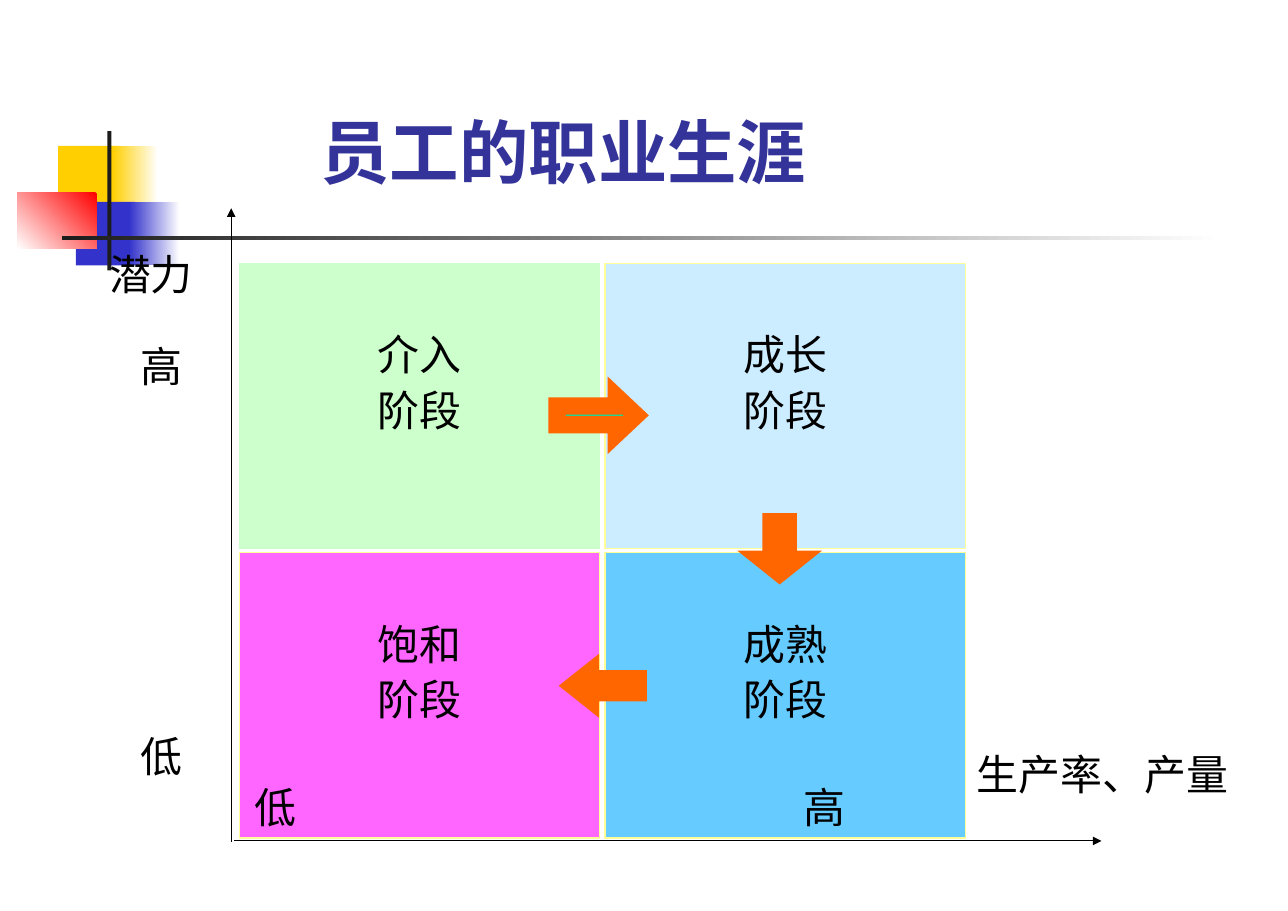
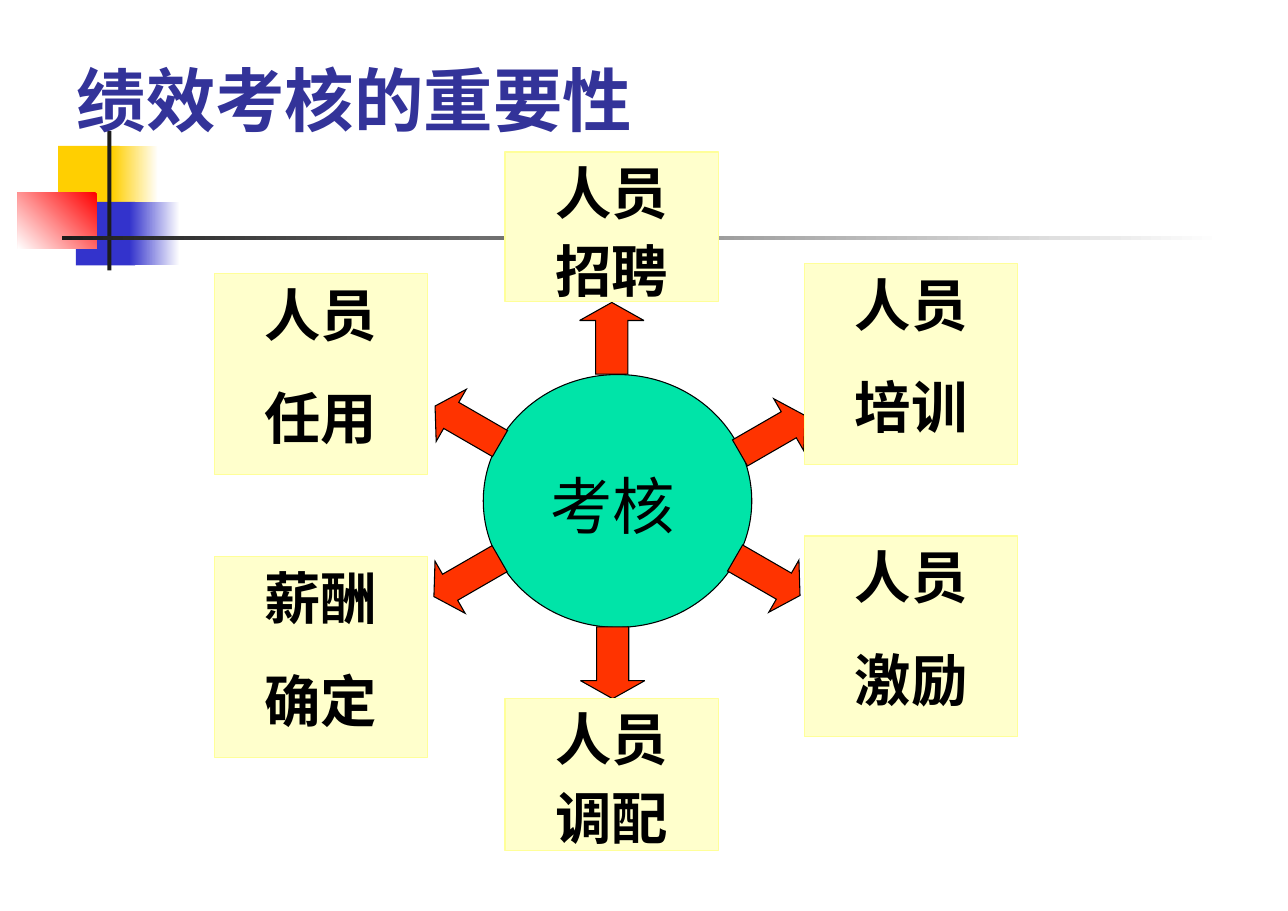
from dataclasses import dataclass

from lxml import etree
from pptx import Presentation
from pptx.dml.color import RGBColor
from pptx.enum.shapes import MSO_CONNECTOR, MSO_SHAPE
from pptx.enum.text import MSO_ANCHOR, MSO_AUTO_SIZE, PP_ALIGN
from pptx.oxml.ns import qn
from pptx.shapes.autoshape import Shape
from pptx.slide import Slide
from pptx.util import Cm, Pt

RECT = MSO_SHAPE.RECTANGLE
OVAL = MSO_SHAPE.OVAL
RIGHT = MSO_SHAPE.RIGHT_ARROW
DOWN = MSO_SHAPE.DOWN_ARROW
LEFT = MSO_SHAPE.LEFT_ARROW
STRAIGHT = MSO_CONNECTOR.STRAIGHT
TOP = MSO_ANCHOR.TOP
GROW = MSO_AUTO_SIZE.SHAPE_TO_FIT_TEXT
START = PP_ALIGN.LEFT
CENTER = PP_ALIGN.CENTER

WHITE = RGBColor(0xFF, 0xFF, 0xFF)
BLACK = RGBColor(0x00, 0x00, 0x00)
INK = RGBColor(0x1C, 0x1C, 0x1C)
NAVY = RGBColor(0x33, 0x33, 0x99)
BLUE = RGBColor(0x33, 0x33, 0xCC)
GOLD = RGBColor(0xFF, 0xCF, 0x01)
RED = RGBColor(0xFF, 0x00, 0x00)
FLAME = RGBColor(0xFF, 0x33, 0x00)
ORANGE = RGBColor(0xFF, 0x66, 0x00)
TEAL = RGBColor(0x00, 0xE4, 0xA8)
CREAM = RGBColor(0xFF, 0xFF, 0xCC)
YELLOW = RGBColor(0xFF, 0xFF, 0x99)
PINK = RGBColor(0xFF, 0x66, 0xFF)
MINT = RGBColor(0xCC, 0xFF, 0xCC)
PALE = RGBColor(0xCC, 0xEC, 0xFF)
SKY = RGBColor(0x66, 0xCC, 0xFF)

SERIF = "Times New Roman"
SANS = "Noto Sans CJK SC"


@dataclass(frozen=True)
class Area:
    """A place on the slide, in centimetres."""
    x: float
    y: float
    w: float
    h: float


@dataclass(frozen=True)
class Patch:
    area: Area
    color: RGBColor
    fade: RGBColor | None = None
    angle: int = 0


@dataclass(frozen=True)
class Stage:
    col: int
    row: int
    name: str
    fill: RGBColor
    edge: RGBColor = YELLOW


@dataclass(frozen=True)
class Label:
    text: str
    x: float
    y: float
    width: float
    face: str = SERIF


@dataclass(frozen=True)
class Arrow:
    kind: MSO_SHAPE
    area: Area
    head: float
    turn: int = 0


@dataclass(frozen=True)
class Topic:
    area: Area
    lines: tuple[str, str]
    gap: float


PATCHES = (
    Patch(Area(1.42, 3.56, 1.5, 1.52), GOLD),
    Patch(Area(2.74, 3.56, 1.12, 1.52), WHITE, GOLD, 180),
    Patch(Area(1.85, 4.93, 1.45, 1.55), BLUE),
    Patch(Area(3.15, 4.93, 1.24, 1.55), WHITE, BLUE, 180),
    Patch(Area(0.43, 4.7, 1.93, 1.37), RED, WHITE, 225),
    Patch(Area(2.62, 3.2, 0.1, 3.4), INK),
    Patch(Area(1.52, 5.77, 28.3, 0.1), WHITE, INK, 180),
)

STAGES = (
    Stage(0, 1, "饱和", PINK),
    Stage(0, 0, "介入", MINT, MINT),
    Stage(1, 0, "成长", PALE),
    Stage(1, 1, "成熟", SKY),
)

LABELS = (
    Label("生产率、产量", 23.52, 18.11, 7.21, SANS),
    Label("高", 19.3, 18.92, 2.34),
    Label("低", 5.92, 18.92, 3.89),
    Label("潜力", 2.36, 5.92, 3.15, SANS),
    Label("高", 3.12, 8.15, 1.85),
    Label("低", 3.12, 17.68, 2.72),
)

STEPS = (
    Arrow(RIGHT, Area(13.59, 9.68, 1.93, 0.91), 0.53),
    Arrow(DOWN, Area(18.64, 12.75, 0.76, 1.22), 0.4),
    Arrow(LEFT, Area(14, 16.43, 1.55, 0.61), 0.63),
)

SPOKES = (
    Arrow(RIGHT, Area(17.93, 9.86, 1.83, 1.47), 0.31, 330),
    Arrow(RIGHT, Area(17.81, 13.34, 1.83, 1.47), 0.31, 30),
    Arrow(RIGHT, Area(10.46, 13.36, 1.85, 1.47), 0.31, 150),
    Arrow(RIGHT, Area(10.49, 9.63, 1.83, 1.47), 0.31, 210),
    Arrow(RIGHT, Area(14.07, 15.39, 1.75, 1.57), 0.28, 90),
    Arrow(RIGHT, Area(14.05, 7.47, 1.75, 1.57), 0.28, 270),
)

TOPICS = (
    Topic(Area(5.23, 6.68, 5.2, 4.9), ("人员", "任用"), 24.4),
    Topic(Area(19.63, 6.43, 5.2, 4.9), ("人员", "培训"), 24.4),
    Topic(Area(5.23, 13.59, 5.2, 4.9), ("薪酬", "确定"), 24.4),
    Topic(Area(19.63, 13.08, 5.2, 4.9), ("人员", "激励"), 24.4),
    Topic(Area(12.32, 17.04, 5.2, 3.71), ("人员", "调配"), 7.3),
    Topic(Area(12.32, 3.71, 5.2, 3.66), ("人员", "招聘"), 7.3),
)


def frame(area: Area) -> tuple[Cm, Cm, Cm, Cm]:
    return Cm(area.x), Cm(area.y), Cm(area.w), Cm(area.h)


def draw(slide: Slide, kind: MSO_SHAPE, area: Area, fill: RGBColor,
         edge: RGBColor | None = None, weight: float = 0.75) -> Shape:
    shape = slide.shapes.add_shape(kind, *frame(area))
    shape.shadow.inherit = False
    shape.fill.solid()
    shape.fill.fore_color.rgb = fill
    if edge is None:
        shape.line.fill.background()
    else:
        shape.line.color.rgb = edge
        shape.line.width = Pt(weight)
    return shape


def write(shape: Shape, *lines: str, size: float, face: str = SERIF,
          color: RGBColor = BLACK, bold: bool = False,
          align: PP_ALIGN = START, gap: float = 0, top: float = 0.15) -> None:
    body = shape.text_frame
    body.word_wrap = True
    body.vertical_anchor = TOP
    body.margin_left = body.margin_right = Cm(0.3)
    body.margin_top, body.margin_bottom = Cm(top), Cm(0.15)
    for pos, line in enumerate(lines):
        para = body.add_paragraph() if pos else body.paragraphs[0]
        para.alignment = align
        if pos:
            para.space_before = Pt(gap)
        run = para.add_run()
        run.text = line
        run.font.name = face
        run.font.size = Pt(size)
        run.font.bold = bold
        run.font.color.rgb = color


def note(slide: Slide, text: str, area: Area, **style) -> None:
    """Add a text box that grows with its text."""
    box = slide.shapes.add_textbox(*frame(area))
    write(box, text, **style)
    box.text_frame.auto_size = GROW


def title(slide: Slide, text: str, area: Area) -> None:
    note(slide, text, area, size=48, color=NAVY, bold=True)


def decor(slide: Slide) -> None:
    """Draw the colour blocks and rules found on every slide."""
    for patch in PATCHES:
        shape = draw(slide, RECT, patch.area, patch.color)
        if patch.fade is not None:
            shape.fill.gradient()
            shape.fill.gradient_angle = patch.angle
            stops = shape.fill.gradient_stops
            for stop, color in zip(stops, (patch.color, patch.fade)):
                stop.color.rgb = color


def point(slide: Slide, arrow: Arrow, fill: RGBColor, edge: RGBColor,
          weight: float = 0.75) -> None:
    """Draw a block arrow with sharp corners."""
    shape = draw(slide, arrow.kind, arrow.area, fill, edge, weight)
    shape.adjustments[0] = 0.5
    shape.adjustments[1] = arrow.head
    shape.rotation = arrow.turn
    line = shape.line._get_or_add_ln()
    etree.SubElement(line, qn("a:miter"), lim="800000")


def axis(slide: Slide, x1: float, y1: float, x2: float, y2: float) -> None:
    line = slide.shapes.add_connector(STRAIGHT, Cm(x1), Cm(y1), Cm(x2), Cm(y2))
    line.line.color.rgb = BLACK
    line.line.width = Pt(0.75)
    etree.SubElement(line.line._get_or_add_ln(), qn("a:tailEnd"),
                     type="triangle")
    etree.SubElement(line._element.spPr, qn("a:effectLst"))


def career(slide: Slide) -> None:
    title(slide, "员工的职业生涯", Area(7.52, 2.51, 18.34, 2.34))
    axis(slide, 5.72, 20.52, 26.87, 20.52)
    axis(slide, 5.64, 20.55, 5.64, 5.08)
    for stage in STAGES:
        area = Area(5.84 + 8.92 * stage.col, 6.43 + 7.06 * stage.row,
                    8.79, 6.96)
        cell = draw(slide, RECT, area, stage.fill, stage.edge)
        write(cell, stage.name, "阶段", size=29, face=SANS, align=CENTER,
              gap=3.6, top=1.6)
    for label in LABELS:
        note(slide, label.text, Area(label.x, label.y, label.width, 1.52),
             size=29, face=label.face)
    for step in STEPS:
        point(slide, step, TEAL, ORANGE, 13 if step.kind != RIGHT else 12)


def review(slide: Slide) -> None:
    draw(slide, OVAL, Area(11.79, 9.14, 6.55, 6.17), TEAL, BLACK)
    note(slide, "考核", Area(12.32, 11.25, 5.23, 2.13), size=43, align=CENTER)
    title(slide, "绩效考核的重要性", Area(1.57, 1.24, 15.98, 2.34))
    for spoke in SPOKES:
        point(slide, spoke, FLAME, BLACK)
    for topic in TOPICS:
        box = draw(slide, RECT, topic.area, CREAM, YELLOW)
        write(box, *topic.lines, size=39, bold=True, align=CENTER,
              gap=topic.gap)


def main() -> None:
    deck = Presentation()
    deck.slide_width, deck.slide_height = Cm(31.42), Cm(22.23)
    for build in (career, review):
        slide = deck.slides.add_slide(deck.slide_layouts[6])
        decor(slide)
        build(slide)
    deck.save("out.pptx")


if __name__ == "__main__":
    main()
